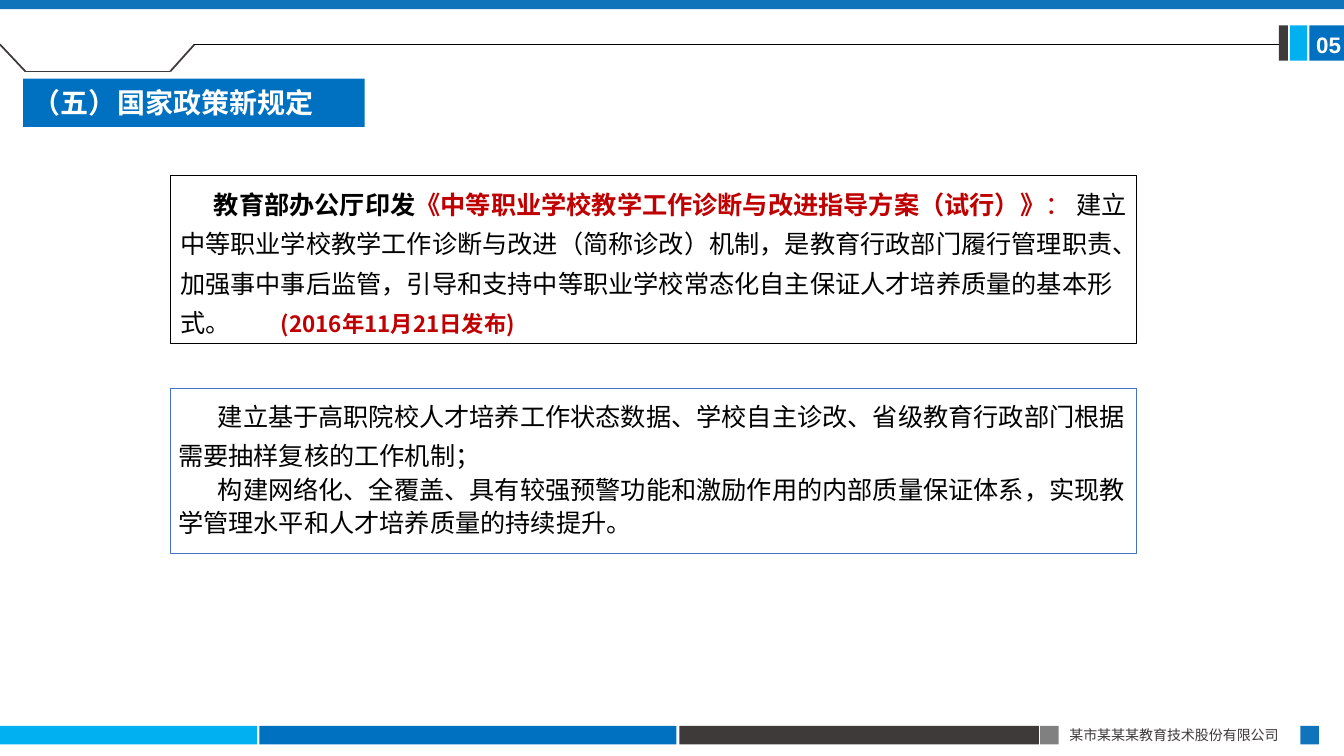
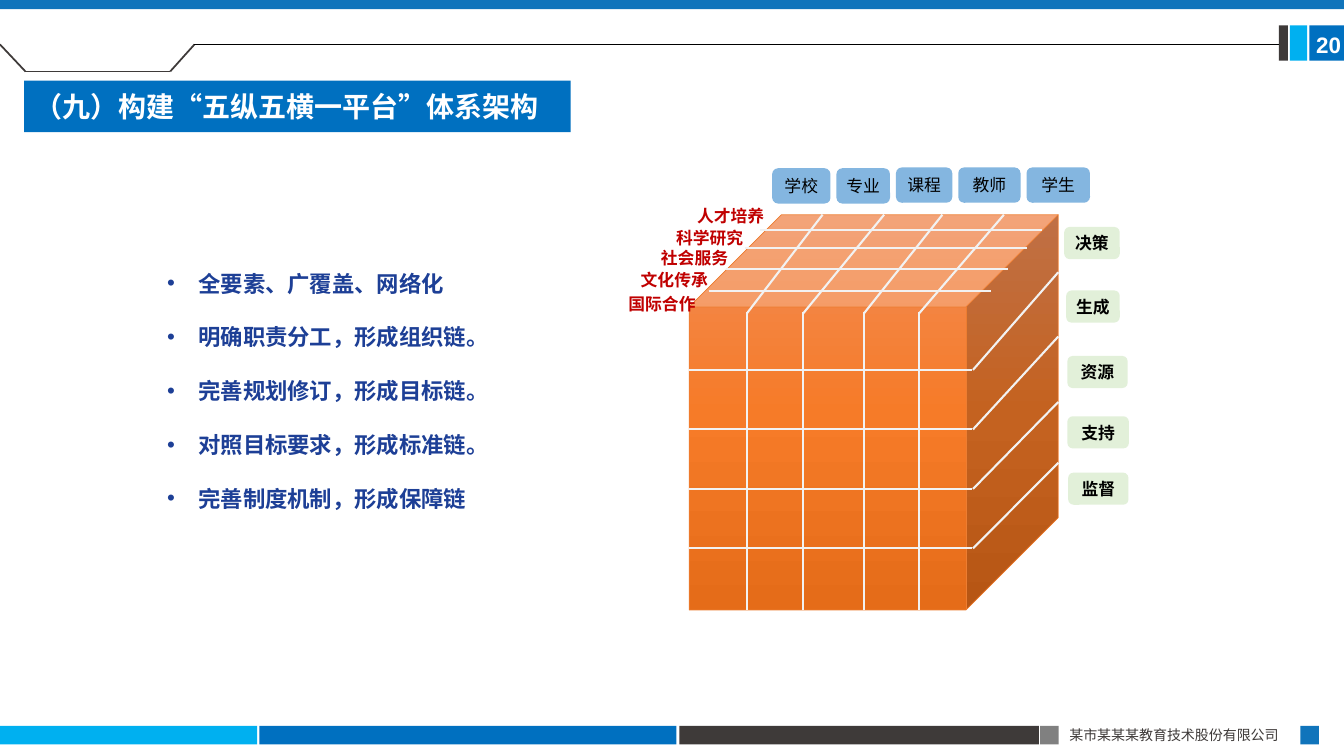
from typing import NamedTuple

from lxml import etree
from pptx import Presentation
from pptx import util as u
from pptx.dml.color import RGBColor
from pptx.enum import shapes as es, text as et
from pptx.oxml import parse_xml
from pptx.oxml.ns import nsdecls, qn

BLUE = RGBColor(0x00, 0x70, 0xC0)
BAND_BLUE = RGBColor(0x10, 0x74, 0xBB)
CYAN = RGBColor(0x00, 0xB0, 0xF0)
CHARCOAL = RGBColor(0x3E, 0x3A, 0x39)
GREY = RGBColor(0x80, 0x80, 0x80)
WHITE = RGBColor(0xFF, 0xFF, 0xFF)
BLACK = RGBColor(0x00, 0x00, 0x00)
RED = RGBColor(0xC0, 0x00, 0x00)
NAVY = RGBColor(0x1D, 0x3F, 0x96)
BORDER_BLUE = RGBColor(0x44, 0x72, 0xC4)
LABEL_BLUE = RGBColor(0x84, 0xB6, 0xE0)
LABEL_GREEN = RGBColor(0xE2, 0xF0, 0xD9)
GRID = RGBColor(0xF2, 0xF2, 0xF2)
ORANGE = RGBColor(0xED, 0x7D, 0x31)
CUBE_STOPS = ((0, "F18C57"), (50, "F67B28"), (100, "E56C19"))

CJK = "Noto Sans CJK SC"
RECT = es.MSO_SHAPE.RECTANGLE
ROUND = es.MSO_SHAPE.ROUNDED_RECTANGLE
TOP, MIDDLE = et.MSO_ANCHOR.TOP, et.MSO_ANCHOR.MIDDLE
CENTER, LEFT = et.PP_ALIGN.CENTER, et.PP_ALIGN.LEFT


class Box(NamedTuple):
    """Left, top, width and height in centimetres."""
    left: float
    top: float
    width: float
    height: float

    def emu(self) -> list[u.Length]:
        return [u.Cm(v) for v in self]


class Bar(NamedTuple):
    box: Box
    color: RGBColor


class Label(NamedTuple):
    text: str
    box: Box


class Segment(NamedTuple):
    """Start and end point in centimetres."""
    x1: float
    y1: float
    x2: float
    y2: float


FRAME_BARS = (
    Bar(Box(0, 18.29, 6.48, 0.47), CYAN),
    Bar(Box(6.54, 18.29, 10.51, 0.47), BLUE),
    Bar(Box(17.12, 18.29, 9.06, 0.47), CHARCOAL),
    Bar(Box(26.21, 18.29, 0.47, 0.47), GREY),
    Bar(Box(32.77, 18.29, 0.47, 0.47), BAND_BLUE),
    Bar(Box(33, 0.64, 0.87, 0.89), BLUE),
    Bar(Box(32.51, 0.64, 0.43, 0.89), CYAN),
    Bar(Box(32.23, 0.64, 0.23, 0.89), CHARCOAL),
    Bar(Box(0, 0, 33.87, 0.23), BAND_BLUE),
)
NOTCH = (
    Segment(0.64, 1.8, 4.29, 1.8),
    Segment(4.29, 1.8, 4.9, 1.12),
    Segment(0.64, 1.8, 0, 1.12),
)
HEADER_RULE = Segment(4.9, 1.12, 32.23, 1.12)

GOALS = ("全要素、广覆盖、网络化", "明确职责分工，形成组织链。", "完善规划修订，形成目标链。",
         "对照目标要求，形成标准链。", "完善制度机制，形成保障链")
LEVELS = (("学校", 4.24, 1.47), ("专业", 4.24, 1.35), ("课程", 4.22, 1.42),
          ("教师", 4.22, 1.57), ("学生", 4.22, 1.6))
SYSTEMS = (
    Label("决策", Box(26.82, 5.72, 1.4, 0.81)),
    Label("生成", Box(26.87, 7.32, 1.35, 0.81)),
    Label("资源", Box(26.9, 8.97, 1.52, 0.81)),
    Label("支持", Box(26.9, 10.49, 1.55, 0.81)),
    Label("监督", Box(26.92, 11.91, 1.52, 0.81)),
)
DUTIES = (("人才培养", 17.22, 5.11), ("科学研究", 16.69, 5.66), ("社会服务", 16.31, 6.17),
          ("文化传承", 15.8, 6.71), ("国际合作", 15.49, 7.32))

CUBE = Box(17.37, 5.41, 9.3, 9.96)
FACE_WIDTH = 7.12
ROW_TOP, ROW_STEP = 9.32, 1.5
SIDE_ENDS = (6.86, 8.48, 10.13, 11.66)
COLUMNS = ((18.82, 20.73), (20.24, 22.28), (21.77, 23.75), (23.16, 25.3))
DEPTH_ROWS = ((19.15, 5.79), (18.77, 6.25), (18.29, 6.78), (17.86, 7.34))


def write(p, txt: str, *, size: float, color: RGBColor, bold: bool = False,
          font: str = CJK) -> None:
    """Append a run, with the Chinese font set for East Asian characters."""
    r = p.add_run()
    r.text = txt
    r.font.size, r.font.bold, r.font.name = u.Pt(size), bold, font
    r.font.color.rgb = color
    etree.SubElement(r.font._element, qn("a:ea")).set("typeface", CJK)


def set_frame(tf, *, anchor=TOP, pad_x: float = 0.25, pad_y: float = 0.13) -> None:
    tf.word_wrap = True
    tf.auto_size = et.MSO_AUTO_SIZE.NONE
    tf.vertical_anchor = anchor
    tf.margin_left = tf.margin_right = u.Cm(pad_x)
    tf.margin_top = tf.margin_bottom = u.Cm(pad_y)


def set_indent(p, *, left: float = 0, first: float = 0):
    pPr = p._p.get_or_add_pPr()
    pPr.set("marL", str(u.Cm(left)))
    pPr.set("indent", str(u.Cm(first)))
    return pPr


def add_box(s, box: Box, *, kind=RECT, fill: RGBColor | None = None,
            line: RGBColor | None = None, width: float = 0.75):
    sp = s.shapes.add_shape(kind, *box.emu())
    sp.shadow.inherit = False
    if fill is None:
        sp.fill.background()
    else:
        sp.fill.solid()
        sp.fill.fore_color.rgb = fill
    if line is None:
        sp.line.fill.background()
    else:
        sp.line.color.rgb = line
        sp.line.width = u.Pt(width)
    return sp


def add_line(s, seg: Segment, color: RGBColor, width: float):
    cx = s.shapes.add_connector(es.MSO_CONNECTOR.STRAIGHT, *[u.Cm(v) for v in seg])
    cx.line.color.rgb = color
    cx.line.width = u.Pt(width)
    etree.SubElement(cx._element.spPr, qn("a:effectLst"))
    return cx


def add_label(s, label: Label, *, fill: RGBColor | None = None,
              color: RGBColor = BLACK, bold: bool = True) -> None:
    sp = add_box(s, label.box, kind=ROUND, fill=fill)
    set_frame(sp.text_frame, anchor=MIDDLE, pad_x=0.2, pad_y=0.1)
    p = sp.text_frame.paragraphs[0]
    p.alignment = CENTER
    write(p, label.text, size=12, color=color, bold=bold)


def add_text(s, box: Box, txt: str, **style):
    tf = s.shapes.add_textbox(*box.emu()).text_frame
    set_frame(tf)
    write(tf.paragraphs[0], txt, **style)
    return tf


def place(sp, box: Box) -> None:
    sp.left, sp.top, sp.width, sp.height = box.emu()


def build_master(prs, s) -> None:
    """Draw the shared bands, header lines and footer, then move them to the master."""
    before = len(s.shapes)
    for bar in FRAME_BARS:
        add_box(s, bar.box, fill=bar.color)
    for seg in NOTCH:
        add_line(s, seg, CHARCOAL, 1.25)
    add_line(s, HEADER_RULE, BLACK, 0.5)
    add_text(s, Box(26.7, 18.19, 6.1, 0.69), "某市某某某教育技术股份有限公司",
             size=10, color=CHARCOAL)
    tree = prs.slide_master.shapes._spTree
    for sp in list(s.shapes)[before:]:
        tree.append(sp._element)


def set_heading(s, title: str, box: Box, number: str) -> None:
    sp = s.shapes.title
    place(sp, box)
    sp.fill.solid()
    sp.fill.fore_color.rgb = BLUE
    set_frame(sp.text_frame, anchor=MIDDLE)
    p = sp.text_frame.paragraphs[0]
    p.alignment = LEFT
    write(p, title, size=20, color=WHITE, bold=True, font="Calibri")
    tf = add_text(s, Box(32.92, 0.66, 0.95, 0.94), number,
                  size=16, color=WHITE, bold=True, font="Arial")
    tf.margin_right = 0


def start_paragraph(p, spacing: float, first: float):
    p.alignment = LEFT
    p.line_spacing = u.Pt(spacing)
    return set_indent(p, first=first)


def build_policy(s) -> None:
    set_heading(s, "（五）国家政策新规定", Box(0.58, 1.98, 8.61, 1.22), "05")

    tf = add_box(s, Box(4.29, 4.42, 24.36, 4.24), line=BLACK).text_frame
    set_frame(tf)
    p = tf.paragraphs[0]
    pPr = start_paragraph(p, 28, 0.85)
    tabs = etree.SubElement(pPr, qn("a:tabLst"))
    etree.SubElement(tabs, qn("a:tab"), pos=str(u.Cm(13.76)), algn="l")
    write(p, "教育部办公厅印发", size=18, color=BLACK, bold=True)
    write(p, "《中等职业学校教学工作诊断与改进指导方案（试行）》", size=18, color=RED, bold=True)
    write(p, "： ", size=18, color=RED)
    write(p, "建立中等职业学校教学工作诊断与改进（简称诊改）机制，是教育行政部门履行管理职责、"
             "加强事中事后监管，引导和支持中等职业学校常态化自主保证人才培养质量的基本形式。\t",
          size=18, color=BLACK)
    write(p, "(2016年11月21日发布)", size=16, color=RED, bold=True)

    tf = add_box(s, Box(4.29, 9.78, 24.36, 4.17), line=BORDER_BLUE).text_frame
    set_frame(tf, pad_x=0.2, pad_y=0.1)
    aims = (
        (28, "建立基于高职院校人才培养工作状态数据、学校自主诊改、省级教育行政部门根据"
             "需要抽样复核的工作机制；"),
        (24, "构建网络化、全覆盖、具有较强预警功能和激励作用的内部质量保证体系，实现教"
             "学管理水平和人才培养质量的持续提升。"),
    )
    for i, (spacing, txt) in enumerate(aims):
        p = tf.add_paragraph() if i else tf.paragraphs[0]
        start_paragraph(p, spacing, 1)
        write(p, txt, size=18, color=BLACK)


def add_goals(s) -> None:
    sp = s.placeholders[1]
    place(sp, Box(3.96, 5.99, 10.41, 7.09))
    tf = sp.text_frame
    set_frame(tf)
    for i, goal in enumerate(GOALS):
        p = tf.add_paragraph() if i else tf.paragraphs[0]
        p.line_spacing = 2.0
        p.space_before = u.Pt(0)
        pPr = set_indent(p, left=0.79, first=-0.79)
        etree.SubElement(pPr, qn("a:buFont")).set("typeface", "Arial")
        etree.SubElement(pPr, qn("a:buChar")).set("char", "•")
        write(p, goal, size=16, color=NAVY, bold=True)


def add_cube(s) -> None:
    """Draw the cube and the grid lines on its three visible faces."""
    sp = add_box(s, CUBE, kind=es.MSO_SHAPE.CUBE, line=ORANGE, width=0.5)
    spPr = sp._element.spPr
    spPr.remove(spPr.find(qn("a:noFill")))
    stops = "".join(f'<a:gs pos="{pos * 1000}"><a:srgbClr val="{rgb}"/></a:gs>'
                    for pos, rgb in CUBE_STOPS)
    spPr.find(qn("a:prstGeom")).addnext(parse_xml(
        f'<a:gradFill {nsdecls("a")} rotWithShape="1"><a:gsLst>{stops}</a:gsLst>'
        '<a:lin ang="5400000" scaled="0"/></a:gradFill>'))

    grid = []
    for i, side_end in enumerate(SIDE_ENDS):
        y = ROW_TOP + i * ROW_STEP
        grid.append(Segment(CUBE.left, y, CUBE.left + FACE_WIDTH, y))
        grid.append(Segment(24.52, y, CUBE.left + CUBE.width, side_end))
    for front, back in COLUMNS:
        grid.append(Segment(front, 7.87, front, CUBE.top + CUBE.height))
        grid.append(Segment(back, CUBE.top, front, 7.9))
    for x, y in DEPTH_ROWS:
        grid.append(Segment(x, y, x + FACE_WIDTH, y))
    for seg in grid:
        add_line(s, seg, GRID, 1.5)


def build_framework(s) -> None:
    set_heading(s, "（九）构建“五纵五横一平台”体系架构", Box(0.61, 2.03, 13.77, 1.3), "20")
    add_goals(s)
    left = 19.46
    for txt, top, width in LEVELS:
        add_label(s, Label(txt, Box(left, top, width, 0.89)), fill=LABEL_BLUE, bold=False)
        left += width + 0.15
    for label in SYSTEMS:
        add_label(s, label, fill=LABEL_GREEN)
    add_cube(s)
    for txt, x, y in DUTIES:
        add_label(s, Label(txt, Box(x, y, 2.39, 0.66)), color=RED)


def main() -> None:
    prs = Presentation()
    prs.slide_width, prs.slide_height = u.Cm(33.87), u.Cm(19.05)
    policy = prs.slides.add_slide(prs.slide_layouts[5])
    build_master(prs, policy)
    build_policy(policy)
    build_framework(prs.slides.add_slide(prs.slide_layouts[1]))
    prs.save("out.pptx")


if __name__ == "__main__":
    main()
